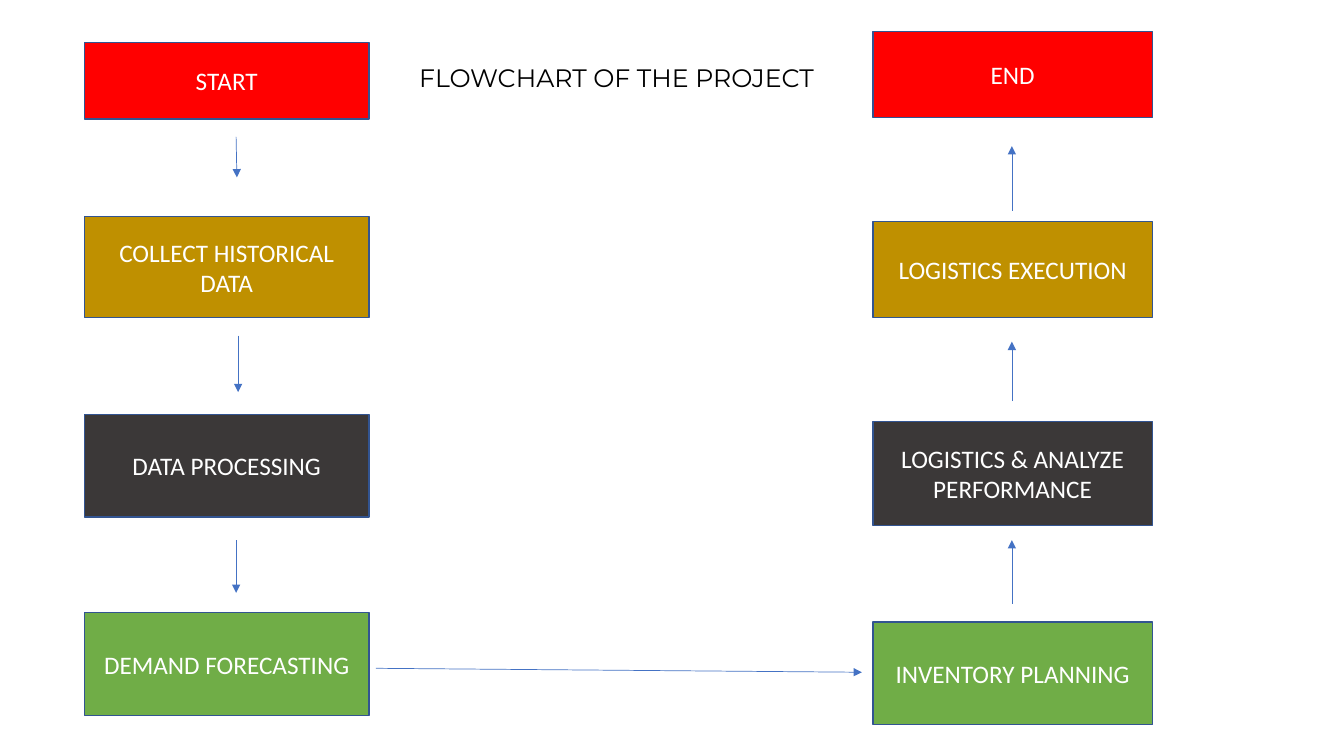
from lxml.etree import SubElement
from pptx import Presentation
from pptx.dml.color import RGBColor
from pptx.enum.shapes import MSO_CONNECTOR, MSO_SHAPE
from pptx.enum.text import MSO_ANCHOR, PP_ALIGN
from pptx.oxml.ns import qn
from pptx.util import Cm, Pt

COLORS = {
    "red": "FF0000", "gold": "BF9000", "charcoal": "3B3838", "green": "70AD47",
    "border": "325491", "arrow": "4472C4", "white": "FFFFFF", "black": "000000",
}

# Content: lengths in centimetres
TITLE = "FLOWCHART OF THE PROJECT"
COLUMNS = [
    {"left": 2.13, "width": 7.17, "steps": [  # text, colour, top, height
        ("START", "red", 1.07, 1.93),
        ("COLLECT HISTORICAL DATA", "gold", 5.46, 2.54),
        ("DATA PROCESSING", "charcoal", 10.44, 2.59),
        ("DEMAND FORECASTING", "green", 15.44, 2.59),
    ]},
    {"left": 22, "width": 7.04, "steps": [
        ("INVENTORY PLANNING", "green", 15.67, 2.59),
        ("LOGISTICS & ANALYZE PERFORMANCE", "charcoal", 10.62, 2.62),
        ("LOGISTICS EXECUTION", "gold", 5.59, 2.41),
        ("END", "red", 0.79, 2.18),
    ]},
]
ARROWS = [  # start x, start y, end x, end y
    (5.95, 3.45, 5.97, 4.47),
    (6, 8.46, 6, 9.88),
    (5.95, 13.61, 5.95, 14.94),
    (9.47, 16.84, 21.72, 16.94),
    (25.5, 15.21, 25.5, 13.61),
    (25.5, 10.11, 25.5, 8.61),
    (25.5, 5.31, 25.5, 3.68),
]


def color(name):
    return RGBColor.from_string(COLORS[name])


def write_text(shape, text, font="Calibri", size=18, ink="white",
               align=PP_ALIGN.CENTER, anchor=MSO_ANCHOR.MIDDLE):
    frame = shape.text_frame
    frame.word_wrap = True
    frame.vertical_anchor = anchor
    paragraph = frame.paragraphs[0]
    paragraph.alignment = align
    run = paragraph.add_run()
    run.text = text
    run.font.name = font
    run.font.size = Pt(size)
    run.font.color.rgb = color(ink)


def add_step(slide, text, fill, left, top, width, height):
    shape = slide.shapes.add_shape(
        MSO_SHAPE.RECTANGLE, Cm(left), Cm(top), Cm(width), Cm(height))
    shape.shadow.inherit = False
    shape.fill.solid()
    shape.fill.fore_color.rgb = color(fill)
    shape.line.color.rgb = color("border")
    shape.line.width = Pt(1)
    write_text(shape, text)


def add_arrow(slide, *ends):
    connector = slide.shapes.add_connector(
        MSO_CONNECTOR.STRAIGHT, *(Cm(value) for value in ends))
    connector.line.color.rgb = color("arrow")
    connector.line.width = Pt(0.5)
    SubElement(connector.line._get_or_add_ln(), qn("a:tailEnd"), type="triangle")
    SubElement(connector._element.spPr, qn("a:effectLst"))


def main():
    presentation = Presentation()
    presentation.slide_width, presentation.slide_height = Cm(33.87), Cm(19.05)
    slide = presentation.slides.add_slide(presentation.slide_layouts[5])

    # Title
    title = slide.shapes.title
    title.left, title.top, title.width, title.height = (
        Cm(value) for value in (10.31, 1.45, 11.4, 1.02))
    write_text(title, TITLE, font="Montserrat", ink="black",
               align=PP_ALIGN.LEFT, anchor=MSO_ANCHOR.TOP)

    # Steps: down the left column, up the right one
    for column in COLUMNS:
        for text, fill, top, height in column["steps"]:
            add_step(slide, text, fill, column["left"], top, column["width"], height)

    # Arrows between the steps
    for arrow in ARROWS:
        add_arrow(slide, *arrow)

    presentation.save("out.pptx")


if __name__ == "__main__":
    main()
